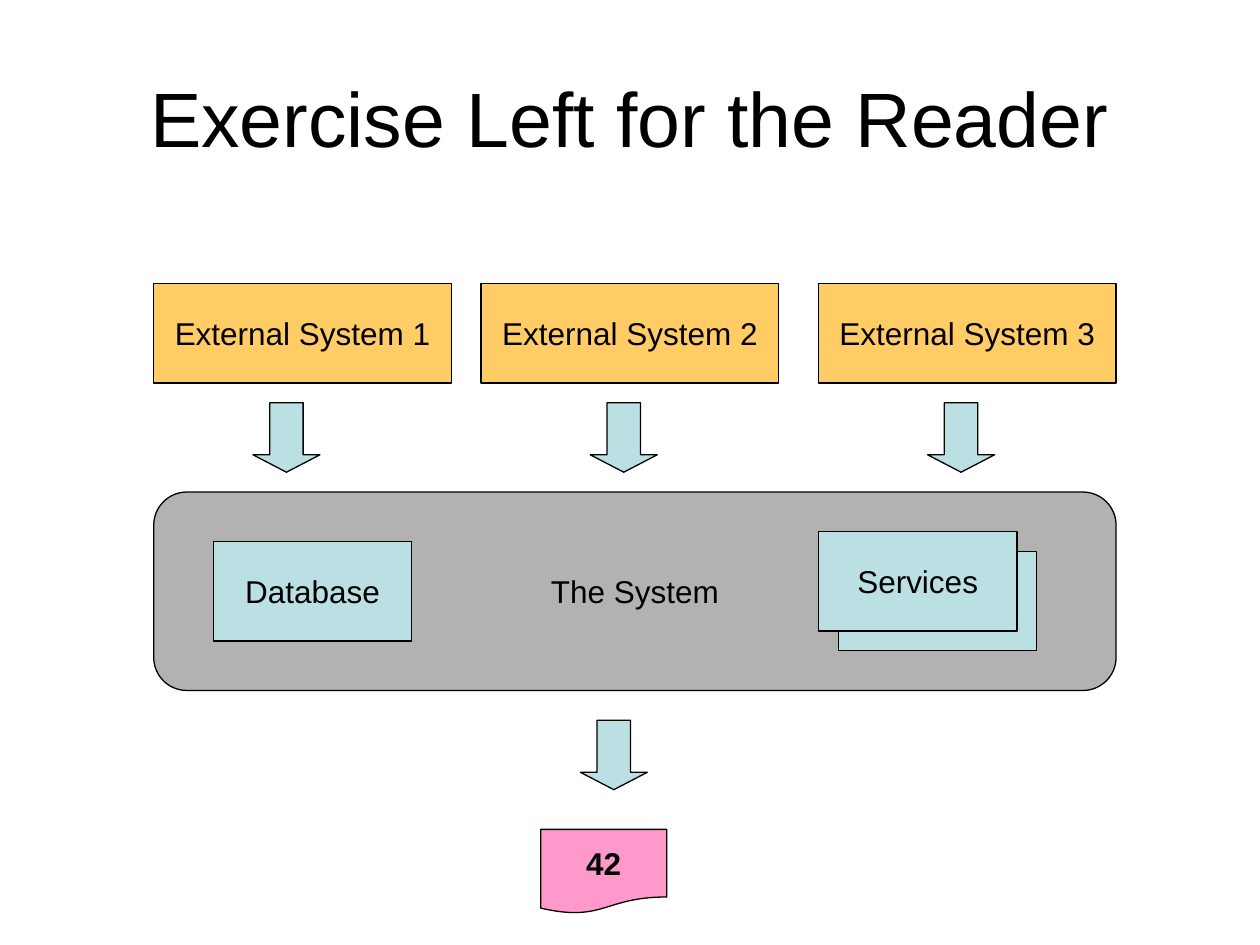
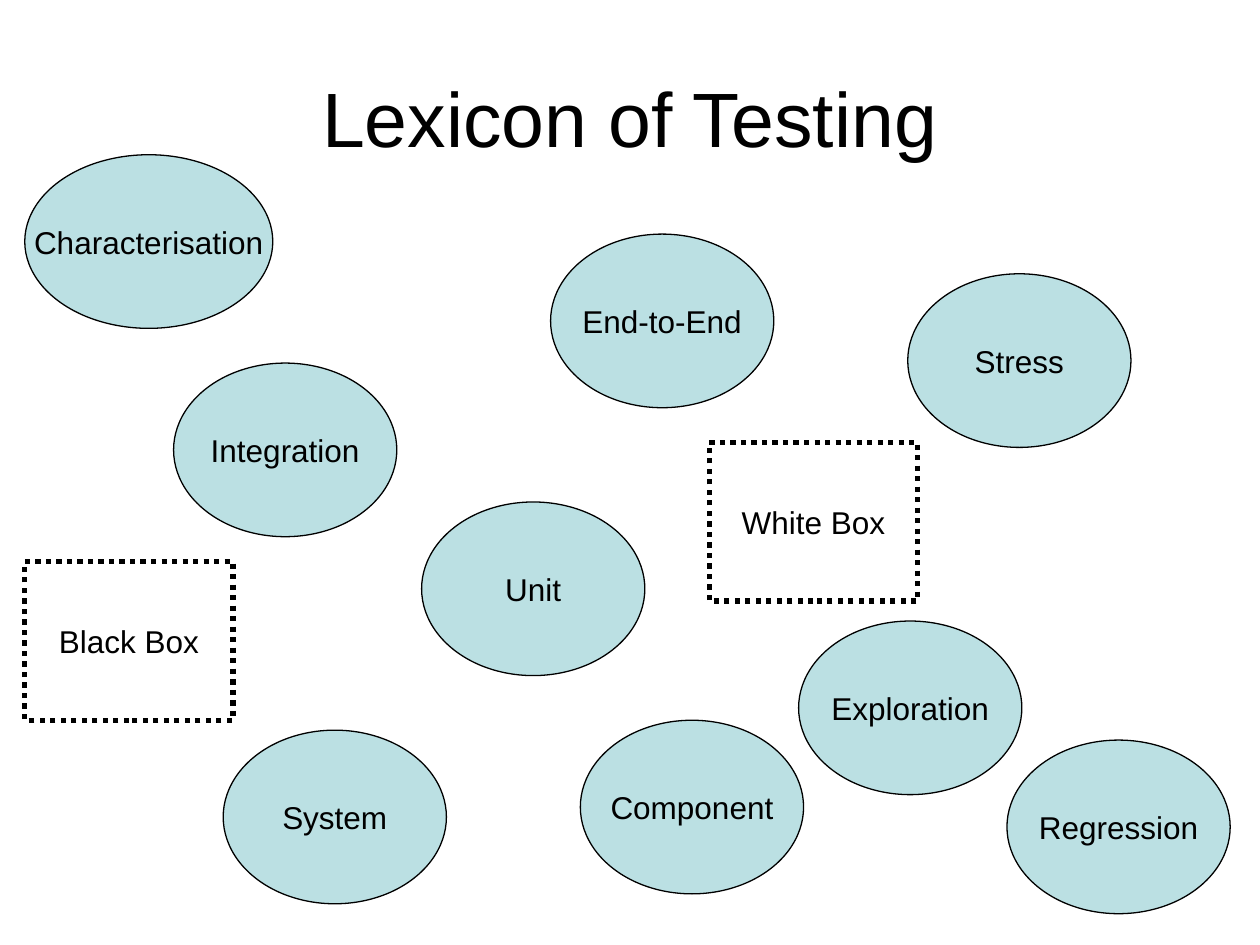
from dataclasses import dataclass

from pptx import Presentation
from pptx.dml.color import RGBColor
from pptx.enum.dml import MSO_LINE
from pptx.enum.shapes import MSO_SHAPE as Preset
from pptx.enum.text import MSO_ANCHOR as Anchor, PP_ALIGN as Align
from pptx.slide import Slide
from pptx.text.text import TextFrame
from pptx.util import Cm, Pt

FONT = "Arial"
COLOURS = {
    "ink": "000000",
    "external": "FFCC66",
    "system": "B2B2B2",
    "part": "BBE0E3",
    "result": "FF99CC",
}


@dataclass(frozen=True)
class Node:
    """A labelled shape; lengths in centimetres."""
    left: float
    top: float
    width: float
    height: float
    text: str = ""
    preset: Preset = Preset.FLOWCHART_PROCESS
    fill: str = "part"
    bold: bool = False
    dotted: bool = False  # unfilled, with a heavy dotted outline


def colour(name: str) -> RGBColor:
    return RGBColor.from_string(COLOURS[name])


def write(frame: TextFrame, text: str, size: int, wrap: bool, bold: bool = False) -> None:
    frame.word_wrap = wrap
    frame.vertical_anchor = Anchor.MIDDLE
    paragraph = frame.paragraphs[0]
    paragraph.text = text
    paragraph.alignment = Align.CENTER
    font = paragraph.font
    font.name, font.size, font.bold = FONT, Pt(size), bold
    font.color.rgb = colour("ink")


def draw_node(page: Slide, node: Node) -> None:
    shape = page.shapes.add_shape(
        node.preset, Cm(node.left), Cm(node.top), Cm(node.width), Cm(node.height))
    shape.shadow.inherit = False
    shape.line.color.rgb = colour("ink")
    shape.line.width = Pt(3 if node.dotted else 0.75)
    if node.dotted:
        shape.fill.background()
        shape.line.dash_style = MSO_LINE.ROUND_DOT
    else:
        shape.fill.solid()
        shape.fill.fore_color.rgb = colour(node.fill)
    if node.preset == Preset.DOWN_ARROW:
        shape.adjustments[1] = 0.26
    if node.text:
        write(shape.text_frame, node.text, 18, node.dotted, node.bold)


def add_page(deck: Presentation, title: str, nodes: list[Node]) -> None:
    page = deck.slides.add_slide(deck.slide_layouts[6])
    box = page.shapes.add_textbox(Cm(1.27), Cm(0.76), Cm(22.86), Cm(3.18))
    write(box.text_frame, title, 44, True)
    for node in nodes:
        draw_node(page, node)


def arrow(left: float, top: float) -> Node:
    return Node(left, top, 1.35, 1.4, preset=Preset.DOWN_ARROW)


def part(left: float, top: float, text: str = "") -> Node:
    return Node(left, top, 4, 2, text)


def kind(left: float, top: float, text: str, width: float = 4.5) -> Node:
    return Node(left, top, width, 3.5, text, Preset.OVAL)


def approach(left: float, top: float, text: str) -> Node:
    return Node(left, top, 4.2, 3.2, text, Preset.RECTANGLE, dotted=True)


def system_nodes() -> list[Node]:
    # External systems feeding the system
    externals = [
        Node(left, 5.72, 6, 2, f"External System {number}", fill="external")
        for number, left in enumerate((3.1, 9.7, 16.5), start=1)
    ]
    inputs = [arrow(5.1 + 6.8 * column, 8.12) for column in range(3)]
    # The system and its parts
    system = [
        Node(3.1, 9.92, 19.4, 4, "The System", Preset.FLOWCHART_ALTERNATE_PROCESS, "system"),
        part(16.9, 11.12),
        part(16.5, 10.72, "Services"),
        part(4.3, 10.92, "Database"),
    ]
    # The answer
    result = [
        arrow(11.7, 14.52),
        Node(10.9, 16.72, 2.54, 1.7, "42", Preset.FLOWCHART_DOCUMENT, "result", bold=True),
    ]
    return externals + inputs + system + result


TESTING_NODES = [
    kind(8.5, 10.12, "Unit"),
    kind(3.5, 7.32, "Integration"),
    kind(4.5, 14.72, "System"),
    kind(11.7, 14.52, "Component"),
    kind(18.3, 5.52, "Stress"),
    kind(11.1, 4.72, "End-to-End"),
    kind(20.3, 14.92, "Regression"),
    approach(14.3, 8.92, "White Box"),
    approach(0.5, 11.32, "Black Box"),
    kind(0.5, 3.12, "Characterisation", width=5),
    kind(16.1, 12.52, "Exploration"),
]


def main() -> None:
    deck = Presentation()
    deck.slide_width, deck.slide_height = Cm(25.4), Cm(19.05)
    add_page(deck, "Exercise Left for the Reader", system_nodes())
    add_page(deck, "Lexicon of Testing", TESTING_NODES)
    deck.save("out.pptx")


if __name__ == "__main__":
    main()
